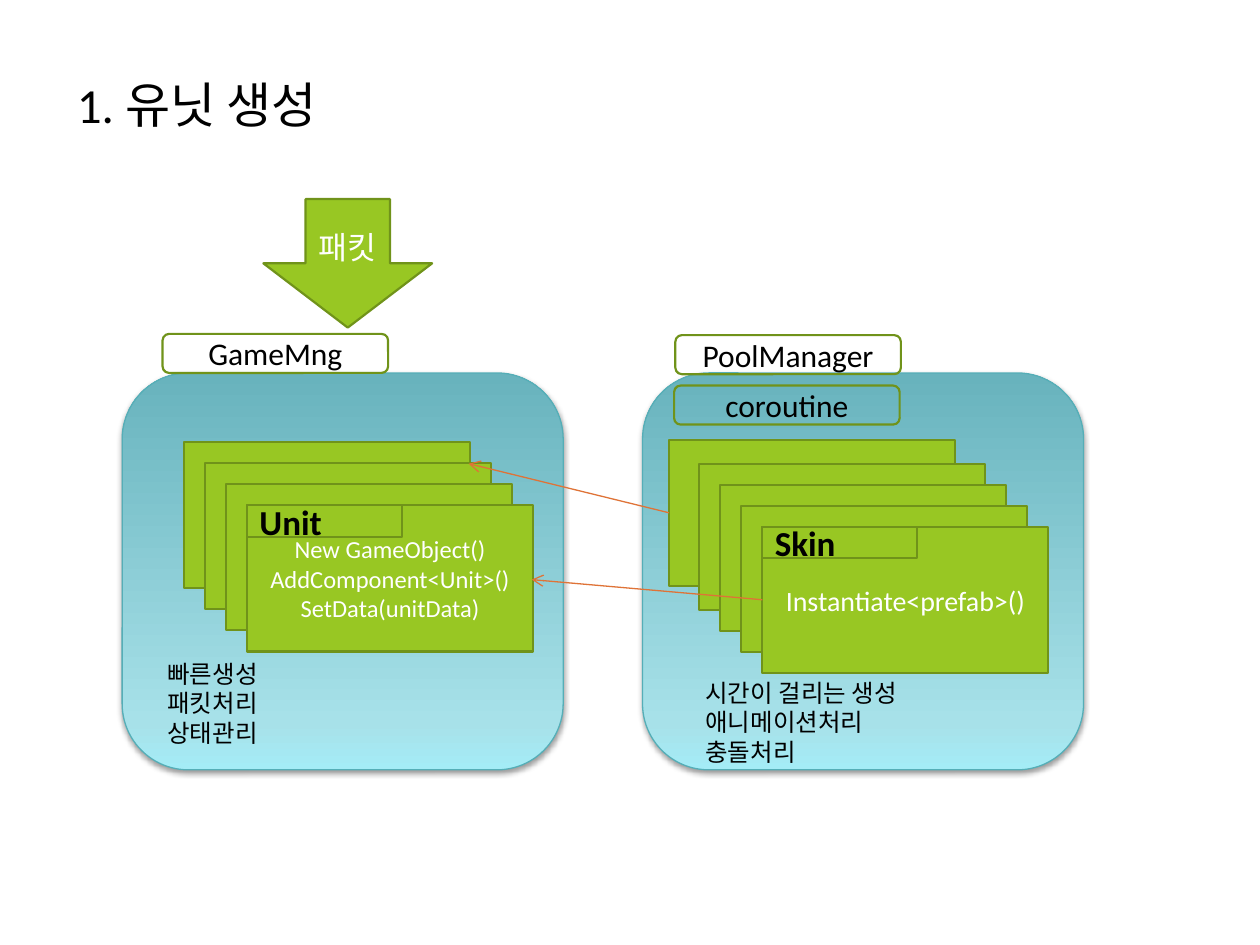
from lxml import etree
from pptx import Presentation
from pptx.dml.color import RGBColor
from pptx.enum.shapes import MSO_CONNECTOR, MSO_SHAPE
from pptx.enum.text import MSO_ANCHOR, MSO_AUTO_SIZE, PP_ALIGN
from pptx.oxml import parse_xml
from pptx.oxml.ns import nsdecls, qn
from pptx.util import Inches, Pt

RECT, ROUND, DOWN = MSO_SHAPE.RECTANGLE, MSO_SHAPE.ROUNDED_RECTANGLE, MSO_SHAPE.DOWN_ARROW
LEFT, CENTER = PP_ALIGN.LEFT, PP_ALIGN.CENTER
FONT = "Calibri"
GREEN, DARK_GREEN, TEAL, ORANGE = "98C723", "70931A", "55AEB7", "DF7337"
BLACK, WHITE = "000000", "FFFFFF"
GRADIENT = [(0, "A4ECF6"), (12, "A7E1E9"), (100, "68B3BD")]
PANEL_W, PANEL_H = 3.5, 3.15
CARD_W, CARD_H, CARD_STEP = 2.27, 1.16, 0.167


def rgb(value):
    return RGBColor.from_string(value)


def write(tf, lines, size, color, align=LEFT, bold=False):
    tf.word_wrap = True
    for i, line in enumerate(lines):
        p = tf.paragraphs[0] if i == 0 else tf.add_paragraph()
        p.text = line
        p.alignment = align
        p.font.name, p.font.size, p.font.bold = FONT, Pt(size), bold
        p.font.color.rgb = rgb(color)


def add_box(s, kind, x, y, w, h, fill=GREEN, line=DARK_GREEN, width=1.25):
    sp = s.shapes.add_shape(kind, Inches(x), Inches(y), Inches(w), Inches(h))
    sp.shadow.inherit = False
    if fill:
        sp.fill.solid()
        sp.fill.fore_color.rgb = rgb(fill)
    else:
        sp.fill.background()
    sp.line.color.rgb = rgb(line)
    sp.line.width = Pt(width)
    sp.text_frame.vertical_anchor = MSO_ANCHOR.MIDDLE
    return sp


def add_panel_body(s, x, y):
    """Rounded body with a vertical gradient and a soft shadow."""
    sp = add_box(s, ROUND, x, y, PANEL_W, PANEL_H, line=TEAL, width=0.75)
    sp.fill.gradient()
    sp.fill.gradient_angle = 90
    stops = sp._element.spPr.find(qn("a:gradFill")).find(qn("a:gsLst"))
    for stop in list(stops):
        stops.remove(stop)
    for position, color in GRADIENT:
        stop = etree.SubElement(stops, qn("a:gs"), pos=str(position * 1000))
        etree.SubElement(stop, qn("a:srgbClr"), val=color)
    sp._element.spPr.find(qn("a:effectLst")).append(parse_xml(
        f'<a:outerShdw {nsdecls("a")} blurRad="40000" dist="20000" dir="5400000" '
        'rotWithShape="0"><a:srgbClr val="000000"><a:alpha val="38000"/>'
        '</a:srgbClr></a:outerShdw>'))


def add_label(s, x, y, text):
    sp = add_box(s, ROUND, x, y, 1.79, 0.31, fill=None)
    write(sp.text_frame, [text], 18, BLACK, CENTER)


def cascade(x, y, count):
    return [(x + i * CARD_STEP, y + i * CARD_STEP) for i in range(count)]


def add_panel(s, x, y, labels, cards, tag, code, code_size, notes, notes_at):
    """One manager: body, labels, stacked cards and notes, relative to x, y."""
    add_panel_body(s, x, y)
    for dx, dy, text in labels:
        add_label(s, x + dx, y + dy, text)
    for dx, dy in cards:
        card = add_box(s, RECT, x + dx, y + dy, CARD_W, CARD_H)
    # The front card carries the code and the name tag
    write(card.text_frame, code, code_size, WHITE, CENTER)
    sp = add_box(s, RECT, x + dx, y + dy, 1.23, 0.25)
    write(sp.text_frame, [tag], 20, BLACK, bold=True)
    tb = s.shapes.add_textbox(Inches(x + notes_at[0]), Inches(y + notes_at[1]),
                              Inches(2.93), Inches(0.81))
    write(tb.text_frame, notes, 14, BLACK)
    tb.text_frame.auto_size = MSO_AUTO_SIZE.SHAPE_TO_FIT_TEXT


def add_arrow(s, x1, y1, x2, y2):
    c = s.shapes.add_connector(MSO_CONNECTOR.STRAIGHT, Inches(x1), Inches(y1),
                               Inches(x2), Inches(y2))
    c.line.color.rgb = rgb(ORANGE)
    c.line.width = Pt(0.75)
    etree.SubElement(c.line._get_or_add_ln(), qn("a:tailEnd"), type="arrow")
    etree.SubElement(c._element.spPr, qn("a:effectLst"))


def add_title(s, text):
    title = s.shapes.title
    title.left, title.top = Inches(0.51), Inches(0.5)
    title.width, title.height = Inches(9.13), Inches(0.65)
    title.text_frame.vertical_anchor = MSO_ANCHOR.MIDDLE
    write(title.text_frame, [text], 28, BLACK)


prs = Presentation()
prs.slide_width, prs.slide_height = Inches(10), Inches(7.5)
s = prs.slides.add_slide(prs.slide_layouts[5])
add_title(s, "1. 유닛 생성")

# Incoming packet
packet = add_box(s, DOWN, 2.09, 1.58, 1.34, 1.02)
write(packet.text_frame, ["패킷"], 18, WHITE, CENTER)

# Managers
add_panel(s, 0.97, 2.96, [(0.32, -0.31, "GameMng")], cascade(0.49, 0.55, 4), "Unit",
          ["New GameObject()", "AddComponent<Unit>()", "SetData(unitData)"], 14,
          ["빠른생성", "패킷처리", "상태관리"], (0.26, 2.22))
add_panel(s, 5.1, 2.96, [(0.26, -0.3, "PoolManager"), (0.25, 0.1, "coroutine")],
          [(0.21, 0.53)] + cascade(0.45, 0.72, 4), "Skin",
          ["Instantiate<prefab>()"], 16,
          ["시간이 걸리는 생성", "애니메이션처리", "충돌처리"], (0.4, 2.37))

# Skins attach to units
add_arrow(s, 5.31, 4.07, 3.72, 3.68)
add_arrow(s, 6.05, 4.76, 4.22, 4.6)

prs.save("out.pptx")
